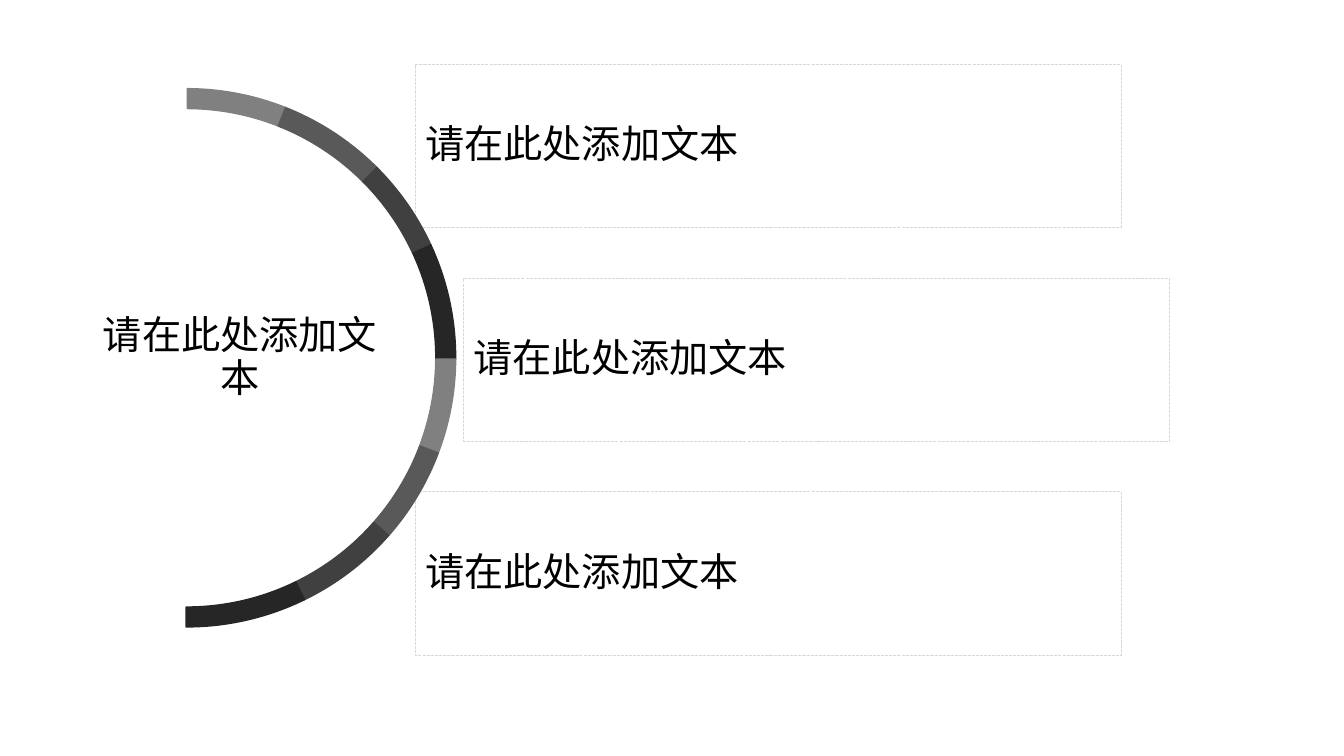
from dataclasses import dataclass

from pptx import Presentation
from pptx.dml.color import RGBColor
from pptx.enum.dml import MSO_LINE
from pptx.enum.lang import MSO_LANGUAGE_ID
from pptx.enum.shapes import MSO_SHAPE
from pptx.enum.text import MSO_ANCHOR, PP_ALIGN
from pptx.util import Inches, Pt

RECTANGLE, ARC, DELAY = MSO_SHAPE.RECTANGLE, MSO_SHAPE.BLOCK_ARC, MSO_SHAPE.FLOWCHART_DELAY
SYSTEM_DASH = MSO_LINE.SQUARE_DOT
MIDDLE, LEFT, CENTER = MSO_ANCHOR.MIDDLE, PP_ALIGN.LEFT, PP_ALIGN.CENTER
CHINESE = MSO_LANGUAGE_ID.SIMPLIFIED_CHINESE
BLANK_LAYOUT = 6


@dataclass(frozen=True)
class Theme:
    font: str = "Calibri"
    text_size: int = 28
    text: str = "000000"
    border: str = "D9D9D9"
    arcs: tuple = ("808080", "595959", "404040", "262626")


THEME = Theme()

# Content: each box has its text and left edge
BOXES = [
    ("请在此处添加文本", 4.12),
    ("请在此处添加文本", 4.6),
    ("请在此处添加文本", 4.12),
]
CENTER_TEXT = "请在此处添加文本"

# Layout in inches; arc boundaries in degrees, clockwise from three o'clock
BOX_TOP, BOX_PITCH, BOX_WIDTH, BOX_HEIGHT = 0.64, 2.12, 7, 1.62
RING = (-0.82, 0.88, 5.34, 5.34)
RING_THICKNESS = 0.037
ARC_BOUNDARIES = [270.2, 291.6, 315, 335.2, 360.3, 380.7, 401.3, 424, 450.1]
DEGREE = 0.6  # adjustment units per degree
CENTER_AREA = (0.92, 1.07, 3.42, 4.97)


def color(value):
    return RGBColor.from_string(value)


def add_shape(slide, kind, bounds, fill=None, line=None, line_width=1):
    shape = slide.shapes.add_shape(kind, *map(Inches, bounds))
    shape.shadow.inherit = False
    if fill:
        shape.fill.solid()
        shape.fill.fore_color.rgb = color(fill)
    else:
        shape.fill.background()
    if line:
        shape.line.color.rgb = color(line)
        shape.line.width = Pt(line_width)
    else:
        shape.line.fill.background()
    return shape


def write_text(shape, text, alignment):
    frame = shape.text_frame
    frame.word_wrap = True
    frame.vertical_anchor = MIDDLE
    paragraph = frame.paragraphs[0]
    paragraph.alignment = alignment
    paragraph.line_spacing = 0.9
    paragraph.space_before = Pt(10)
    run = paragraph.add_run()
    run.text = text
    run.font.name = THEME.font
    run.font.size = Pt(THEME.text_size)
    run.font.color.rgb = color(THEME.text)
    run.font.language_id = CHINESE


presentation = Presentation()
presentation.slide_width = Inches(13.33)
presentation.slide_height = Inches(7.5)
slide = presentation.slides.add_slide(presentation.slide_layouts[BLANK_LAYOUT])

# Text boxes
for index, (text, left) in enumerate(BOXES):
    bounds = (left, BOX_TOP + index * BOX_PITCH, BOX_WIDTH, BOX_HEIGHT)
    box = add_shape(slide, RECTANGLE, bounds, line=THEME.border, line_width=0.75)
    box.line.dash_style = SYSTEM_DASH
    write_text(box, text, LEFT)

# Half ring of arcs, cycling through the greys
for index, (start, end) in enumerate(zip(ARC_BOUNDARIES, ARC_BOUNDARIES[1:])):
    grey = THEME.arcs[index % len(THEME.arcs)]
    arc = add_shape(slide, ARC, RING, fill=grey, line=grey)
    arc.adjustments[0] = start % 360 * DEGREE
    arc.adjustments[1] = end % 360 * DEGREE
    arc.adjustments[2] = RING_THICKNESS

# Text inside the half ring
center = add_shape(slide, DELAY, CENTER_AREA)
write_text(center, CENTER_TEXT, CENTER)

presentation.save("out.pptx")
